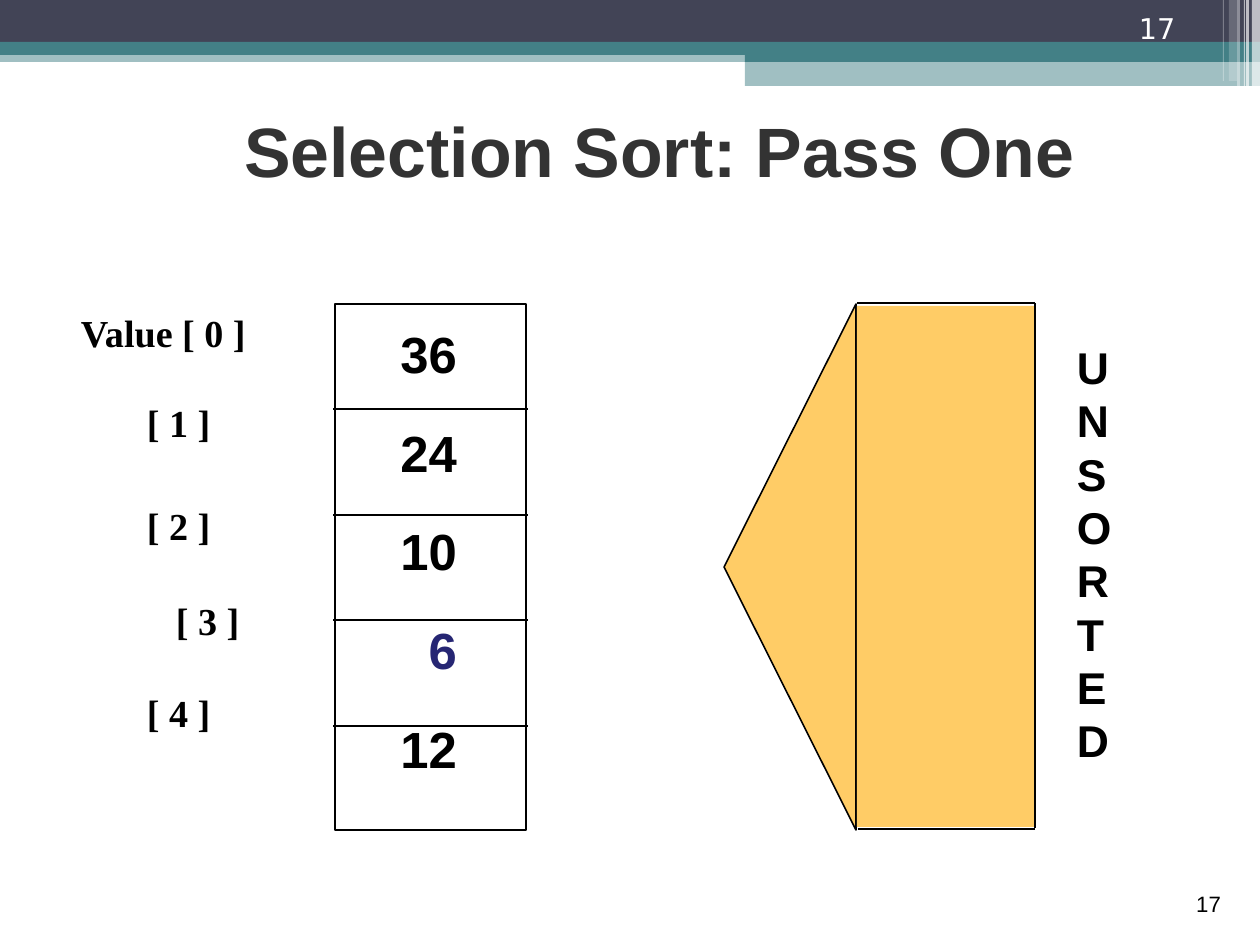
from lxml.etree import SubElement
from pptx import Presentation
from pptx.dml.color import RGBColor
from pptx.enum.shapes import MSO_AUTO_SHAPE_TYPE as Shape, MSO_CONNECTOR as Connector
from pptx.enum.text import MSO_ANCHOR as Anchor, PP_ALIGN as Align
from pptx.oxml.ns import qn
from pptx.util import Pt

BLACK = RGBColor(0x00, 0x00, 0x00)
WHITE = RGBColor(0xFF, 0xFF, 0xFF)
CHARCOAL = RGBColor(0x33, 0x33, 0x33)
SLATE = RGBColor(0x42, 0x44, 0x56)
TEAL = RGBColor(0x43, 0x80, 0x86)
NAVY = RGBColor(0x26, 0x26, 0x73)
AMBER = RGBColor(0xFF, 0xCC, 0x66)


class SlideBuilder:
    SCALE = 8000
    FONT = "Arial"
    LINE = Pt(1)

    def __init__(self, page):
        self.page = page

    def emu(self, *lengths):
        return [length * self.SCALE for length in lengths]

    def shape(self, kind, place, fill=None, line=None, alpha=100, rotation=0):
        shape = self.page.shapes.add_shape(kind, *self.emu(*place))
        shape.shadow.inherit = False
        shape.rotation = rotation
        if fill is None:
            shape.fill.background()
        else:
            shape.fill.solid()
            shape.fill.fore_color.rgb = fill
        if alpha < 100:
            color = shape._element.spPr.find(".//" + qn("a:srgbClr"))
            SubElement(color, qn("a:alpha")).set("val", str(alpha * 1000))
        if line is None:
            shape.line.fill.background()
        else:
            shape.line.color.rgb = line
            shape.line.width = self.LINE
        return shape

    def line(self, *ends):
        line = self.page.shapes.add_connector(Connector.STRAIGHT, *self.emu(*ends))
        line.line.color.rgb = BLACK
        line.line.width = self.LINE
        SubElement(line._element.spPr, qn("a:effectLst"))
        return line

    def text(self, place, rows, size, font=FONT, color=BLACK, bold=True,
             align=Align.LEFT, anchor=Anchor.TOP, wrap=True, side=11, top=6):
        box = self.page.shapes.add_textbox(*self.emu(*place))
        frame = box.text_frame
        frame.word_wrap = wrap
        frame.vertical_anchor = anchor
        frame.margin_left, frame.margin_right = self.emu(side, side)
        frame.margin_top, frame.margin_bottom = self.emu(top, 6)
        for index, row in enumerate(rows):
            para = frame.add_paragraph() if index else frame.paragraphs[0]
            para.alignment = align
            para.space_before = Pt(row.get("gap", 0))
            indent = row.get("indent", 0) * self.SCALE
            if indent:
                para._p.get_or_add_pPr().set("marL", str(indent))
            span = para.add_run()
            span.text = row["text"]
            span.font.name = font
            span.font.size = Pt(size)
            span.font.bold = bold
            span.font.color.rgb = row.get("color", color)
        return box


def draw_banner(slide):
    bands = [
        ((0, 50, 1260, 12), TEAL, 50),
        ((0, 0, 1260, 43), SLATE, 100),
        ((0, 42, 1260, 13), TEAL, 100),
        ((745, 49, 515, 13), TEAL, 100),
        ((745, 61, 515, 25), TEAL, 50),
    ]
    stripes = [(1252, 8, 86, 65), (1246, 3, 86, 65), (1244, 1, 86, 60),
               (1237, 3, 86, 40), (1229, 8, 81, 20), (1223, 1, 81, 30)]
    bands += [((left, 0, width, height), WHITE, alpha)
              for left, width, height, alpha in stripes]
    for place, color, alpha in bands:
        slide.shape(Shape.RECTANGLE, place, color, alpha=alpha)


def draw_array(slide):
    labels = [
        {"text": "Value [ 0 ]"},
        {"text": "[ 1 ]", "indent": 66, "gap": 28.4},
        {"text": "[ 2 ]", "indent": 66, "gap": 36},
        {"text": "[ 3 ]", "indent": 95, "gap": 31},
        {"text": "[ 4 ]", "indent": 66, "gap": 29},
    ]
    slide.text((70, 223, 306, 518), labels, 24, font="Times New Roman", top=86)

    top, height = 304, 526
    values = ["36", "24", "10", "6", "12"]
    slide.shape(Shape.RECTANGLE, (335, top, 191, height), line=BLACK)
    for index in range(1, len(values)):
        y = top + round(index * (height + 1) / len(values))
        slide.line(333, y, 528, y)
    rows = [{"text": value, "gap": 23.7 if index else 0,
             "color": NAVY if value == "6" else BLACK}
            for index, value in enumerate(values)]
    slide.text((389, 317, 79, 469), rows, 32, align=Align.RIGHT, wrap=False)


def draw_unsorted_marker(slide):
    slide.shape(Shape.ISOSCELES_TRIANGLE, (527, 501, 526, 132), AMBER, BLACK,
                rotation=270)
    slide.shape(Shape.RECTANGLE, (857, 306, 178, 521), AMBER)
    slide.line(857, 303, 1035, 303)
    slide.line(858, 829, 1035, 829)
    slide.line(1035, 303, 1035, 828)
    letters = [{"text": letter} for letter in "UNSORTED"]
    slide.text((1066, 334, 57, 439), letters, 28, wrap=False)


def main():
    deck = Presentation()
    deck.slide_width = 1260 * SlideBuilder.SCALE
    deck.slide_height = 945 * SlideBuilder.SCALE
    slide = SlideBuilder(deck.slides.add_slide(deck.slide_layouts[6]))

    draw_banner(slide)
    number = [{"text": "17"}]
    slide.text((970, 860, 262, 63), number, 14, bold=False,
               align=Align.RIGHT, anchor=Anchor.BOTTOM)
    slide.text((221, 0, 878, 197), [{"text": "Selection Sort: Pass One"}], 44,
               color=CHARCOAL, align=Align.CENTER, anchor=Anchor.BOTTOM)
    draw_array(slide)
    draw_unsorted_marker(slide)
    slide.text((1126, 0, 105, 51), number, 18, font="DejaVu Sans", color=WHITE,
               bold=False, anchor=Anchor.BOTTOM, side=13, top=7)
    deck.save("out.pptx")


if __name__ == "__main__":
    main()
